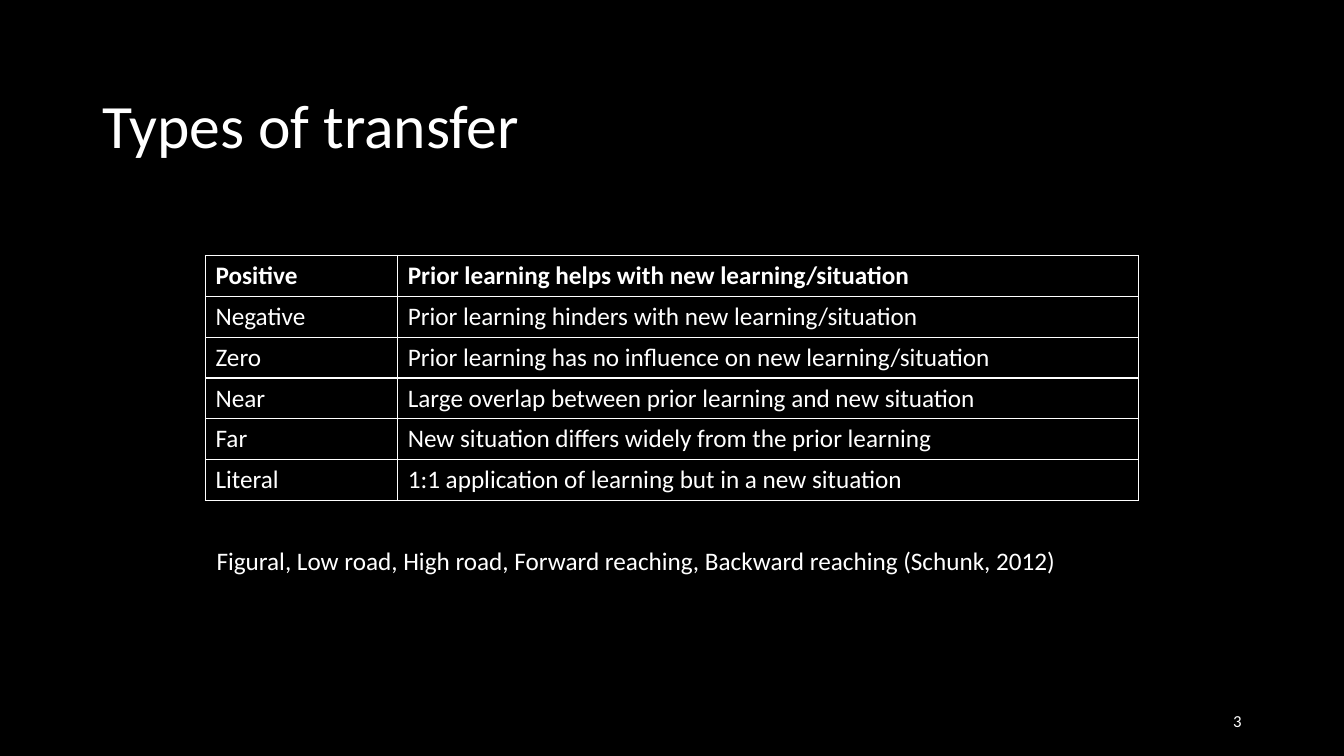
from lxml import etree
from pptx import Presentation
from pptx.dml.color import RGBColor
from pptx.enum.text import MSO_ANCHOR, PP_ALIGN
from pptx.oxml.ns import qn
from pptx.util import Pt

TOP, MIDDLE = MSO_ANCHOR.TOP, MSO_ANCHOR.MIDDLE
LEFT, RIGHT = PP_ALIGN.LEFT, PP_ALIGN.RIGHT
FONT = "Calibri"
WHITE, BLACK = "FFFFFF", "000000"

TRANSFER_TYPES = [
    ("Positive", "Prior learning helps with new learning/situation"),
    ("Negative", "Prior learning hinders with new learning/situation"),
    ("Zero", "Prior learning has no influence on new learning/situation"),
    ("Near", "Large overlap between prior learning and new situation"),
    ("Far", "New situation differs widely from the prior learning"),
    ("Literal", "1:1 application of learning but in a new situation"),
]


def color(hex_string):
    return RGBColor.from_string(hex_string)


def style_font(paragraph, size, bold=False):
    font = paragraph.font
    font.name, font.size, font.bold = FONT, Pt(size), bold
    font.color.rgb = color(WHITE)


def add_text(page, box, text, size, anchor=TOP, align=LEFT, line_spacing=1.0):
    shape = page.shapes.add_textbox(*(Pt(length) for length in box))
    frame = shape.text_frame
    frame.word_wrap = True
    frame.vertical_anchor = anchor
    para = frame.paragraphs[0]
    para.text = text
    para.alignment = align
    para.line_spacing = line_spacing
    style_font(para, size)


def outline_cell(cell, width=1):
    properties = cell._tc.get_or_add_tcPr()
    for side in ("a:lnL", "a:lnR", "a:lnT", "a:lnB"):
        line = etree.SubElement(properties, qn(side), w=str(Pt(width)))
        fill = etree.SubElement(line, qn("a:solidFill"))
        etree.SubElement(fill, qn("a:srgbClr"), val=WHITE)


def add_types_table(page, box, first_column_width):
    left, top, width, height = (Pt(length) for length in box)
    table = page.shapes.add_table(
        len(TRANSFER_TYPES), 2, left, top, width, height).table
    table.horz_banding = False
    table.columns[0].width = Pt(first_column_width)
    table.columns[1].width = width - Pt(first_column_width)
    for row_index, texts in enumerate(TRANSFER_TYPES):
        for column_index, text in enumerate(texts):
            cell = table.cell(row_index, column_index)
            outline_cell(cell)
            cell.fill.background()
            para = cell.text_frame.paragraphs[0]
            para.text = text
            style_font(para, 18, bold=row_index == 0)


def build_transfer_slide(deck):
    page = deck.slides.add_slide(deck.slide_layouts[6])
    page.background.fill.solid()
    page.background.fill.fore_color.rgb = color(BLACK)
    add_text(page, (66, 39.6, 538, 104.4), "Types of transfer", 44,
             anchor=MIDDLE, line_spacing=0.9)
    add_text(page, (678, 500.5, 216, 28.75), "3", 12,
             anchor=MIDDLE, align=RIGHT)
    add_types_table(page, (146.8, 182.4, 666.4, 175.2), 137.3)
    add_text(page, (147.6, 381.6, 640, 65.5),
             "Figural, Low road, High road, Forward reaching, "
             "Backward reaching (Schunk, 2012)", 18, line_spacing=1.2)


def main():
    deck = Presentation()
    deck.slide_width, deck.slide_height = Pt(960), Pt(540)
    build_transfer_slide(deck)
    deck.save("out.pptx")


if __name__ == "__main__":
    main()
